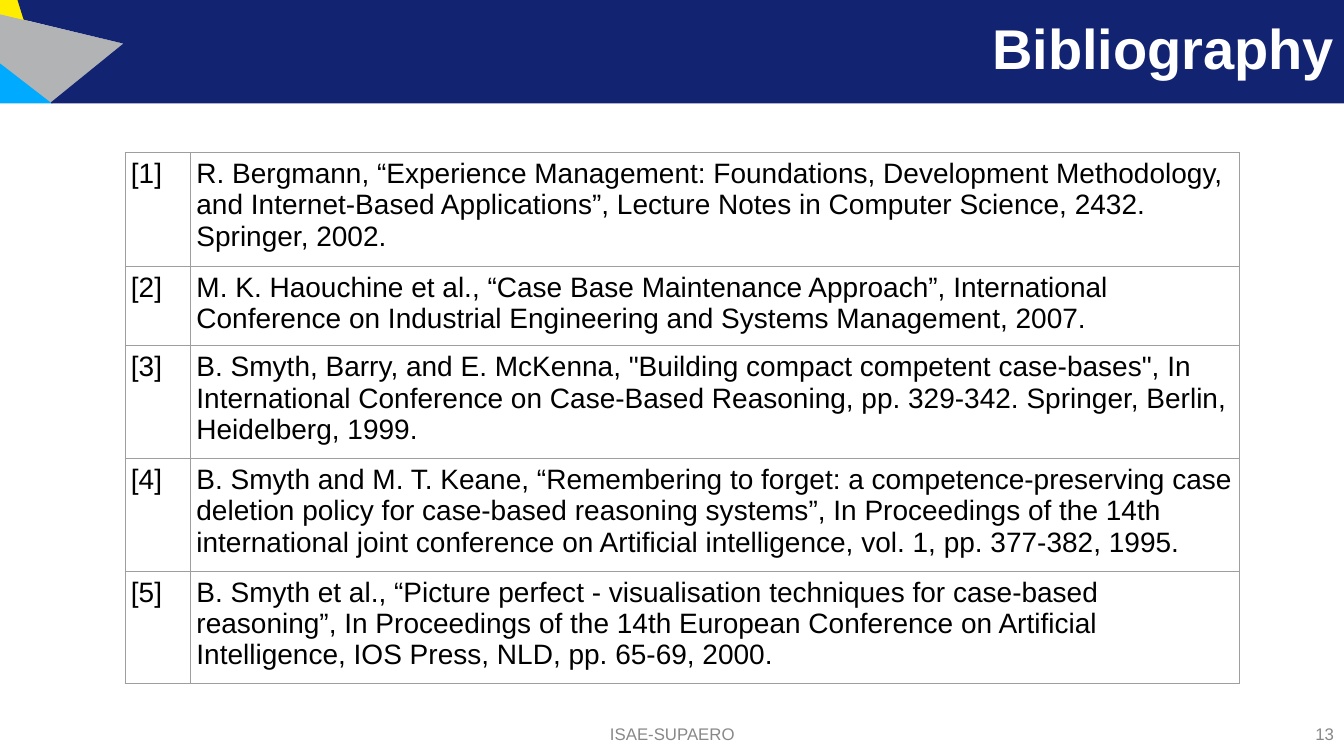
from lxml.etree import SubElement
from pptx import Presentation
from pptx.dml.color import RGBColor
from pptx.enum.text import MSO_ANCHOR, PP_ALIGN
from pptx.oxml.ns import qn
from pptx.util import Cm, Pt

COLOURS = {
    "yellow": "FFED00",
    "blue": "00ABFF",
    "grey": "B1B3B4",
    "navy": "122372",
    "white": "FFFFFF",
    "black": "000000",
    "footer": "888888",
    "border": "9E9E9E",
}

# Corner points of the header band, in centimetres
HEADER = [
    ("yellow", [(0, 0), (0, 0.51), (0.71, 0.71), (0.56, 0)]),
    ("blue", [(0, 1.52), (0, 2.59), (1.3, 2.59)]),
    ("grey", [(0, 0.38), (0, 1.57), (1.32, 2.59), (3.12, 1.12)]),
    ("navy", [(1.3, 2.59), (3.15, 1.09), (0.61, 0.48), (0.46, 0),
              (33.87, 0), (33.87, 2.59)]),
]

# Row height in centimetres, reference
REFERENCES = [
    (2.87, "R. Bergmann, “Experience Management: Foundations, Development "
           "Methodology, and Internet-Based Applications”, Lecture Notes in "
           "Computer Science, 2432. Springer, 2002."),
    (1.9, "M. K. Haouchine et al., “Case Base Maintenance Approach”, "
          "International Conference on Industrial Engineering and Systems "
          "Management, 2007."),
    (2.82, 'B. Smyth, Barry, and E. McKenna, "Building compact competent '
           'case-bases", In International Conference on Case-Based Reasoning, '
           "pp. 329-342. Springer, Berlin, Heidelberg, 1999."),
    (2.67, "B. Smyth and M. T. Keane, “Remembering to forget: a "
           "competence-preserving case deletion policy for case-based "
           "reasoning systems”, In Proceedings of the 14th international "
           "joint conference on Artificial intelligence, vol. 1, "
           "pp. 377-382, 1995."),
    (2.67, "B. Smyth et al., “Picture perfect - visualisation techniques for "
           "case-based reasoning”, In Proceedings of the 14th European "
           "Conference on Artificial Intelligence, IOS Press, NLD, "
           "pp. 65-69, 2000."),
]


class SlideBuilder:
    """Holds the font and the current slide, and draws each kind of element."""

    def __init__(self, page, font="Arial"):
        self.page = page
        self.font = font

    def colour(self, name):
        return RGBColor.from_string(COLOURS[name])

    def add_span(self, para, text, size, colour, bold=False):
        span = para.add_run()
        span.text = text
        span.font.name = self.font
        span.font.size = Pt(size)
        span.font.bold = bold
        span.font.color.rgb = self.colour(colour)

    def polygon(self, colour, points):
        corners = [(Cm(x), Cm(y)) for x, y in points]
        builder = self.page.shapes.build_freeform(*corners[0])
        builder.add_line_segments(corners[1:], close=True)
        shape = builder.convert_to_shape()
        shape.shadow.inherit = False
        shape.fill.solid()
        shape.fill.fore_color.rgb = self.colour(colour)
        shape.line.color.rgb = self.colour(colour)
        shape.line.width = Pt(1)

    def text(self, area, text, size, colour, align, bold=False, spacing=1.0):
        box = self.page.shapes.add_textbox(*(Cm(length) for length in area))
        frame = box.text_frame
        frame.word_wrap = True
        frame.vertical_anchor = MSO_ANCHOR.MIDDLE
        para = frame.paragraphs[0]
        para.alignment = align
        para.line_spacing = spacing
        self.add_span(para, text, size, colour, bold)

    def style_cell(self, cell):
        """Give the cell a thin border, even margins and no fill."""
        properties = cell._tc.get_or_add_tcPr()
        for side in ("a:lnL", "a:lnR", "a:lnT", "a:lnB"):
            line = SubElement(properties, qn(side), w=str(Pt(0.5)))
            fill = SubElement(line, qn("a:solidFill"))
            SubElement(fill, qn("a:srgbClr"), val=COLOURS["border"])
        cell.fill.background()
        cell.margin_left = cell.margin_right = Cm(0.15)
        cell.margin_top = cell.margin_bottom = Cm(0.15)

    def reference_table(self, left, top, widths, references):
        height = sum(row_height for row_height, _ in references)
        table = self.page.shapes.add_table(
            len(references), len(widths),
            Cm(left), Cm(top), Cm(sum(widths)), Cm(height)).table
        table.first_row = table.horz_banding = False
        for column, width in zip(table.columns, widths):
            column.width = Cm(width)
        for number, (row_height, reference) in enumerate(references, 1):
            row = table.rows[number - 1]
            row.height = Cm(row_height)
            for cell, text in zip(row.cells, (f"[{number}]", reference)):
                self.style_cell(cell)
                self.add_span(cell.text_frame.paragraphs[0], text, 20, "black")


def main():
    deck = Presentation()
    deck.slide_width, deck.slide_height = Cm(33.87), Cm(19.05)
    slide = SlideBuilder(deck.slides.add_slide(deck.slide_layouts[6]))

    for colour, points in HEADER:
        slide.polygon(colour, points)
    slide.text((1.83, 0, 32.04, 2.59), "Bibliography", 40, "white",
               PP_ALIGN.RIGHT, bold=True, spacing=0.9)
    slide.text((11.23, 17.98, 11.43, 1.02), "ISAE-SUPAERO", 12, "footer",
               PP_ALIGN.CENTER)
    slide.text((26.25, 17.98, 7.62, 1.02), "13", 12, "footer", PP_ALIGN.RIGHT)
    slide.reference_table(3.15, 3.84, (1.65, 26.42), REFERENCES)

    deck.save("out.pptx")


if __name__ == "__main__":
    main()
